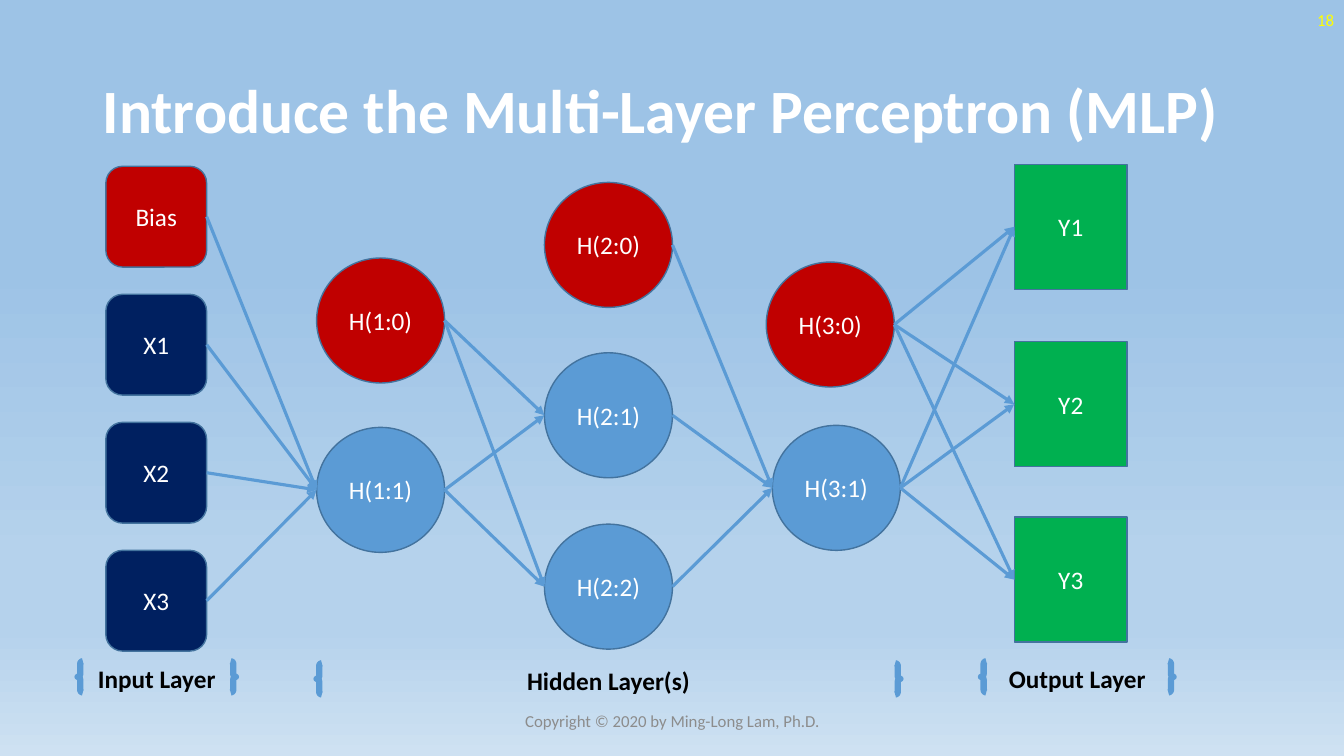
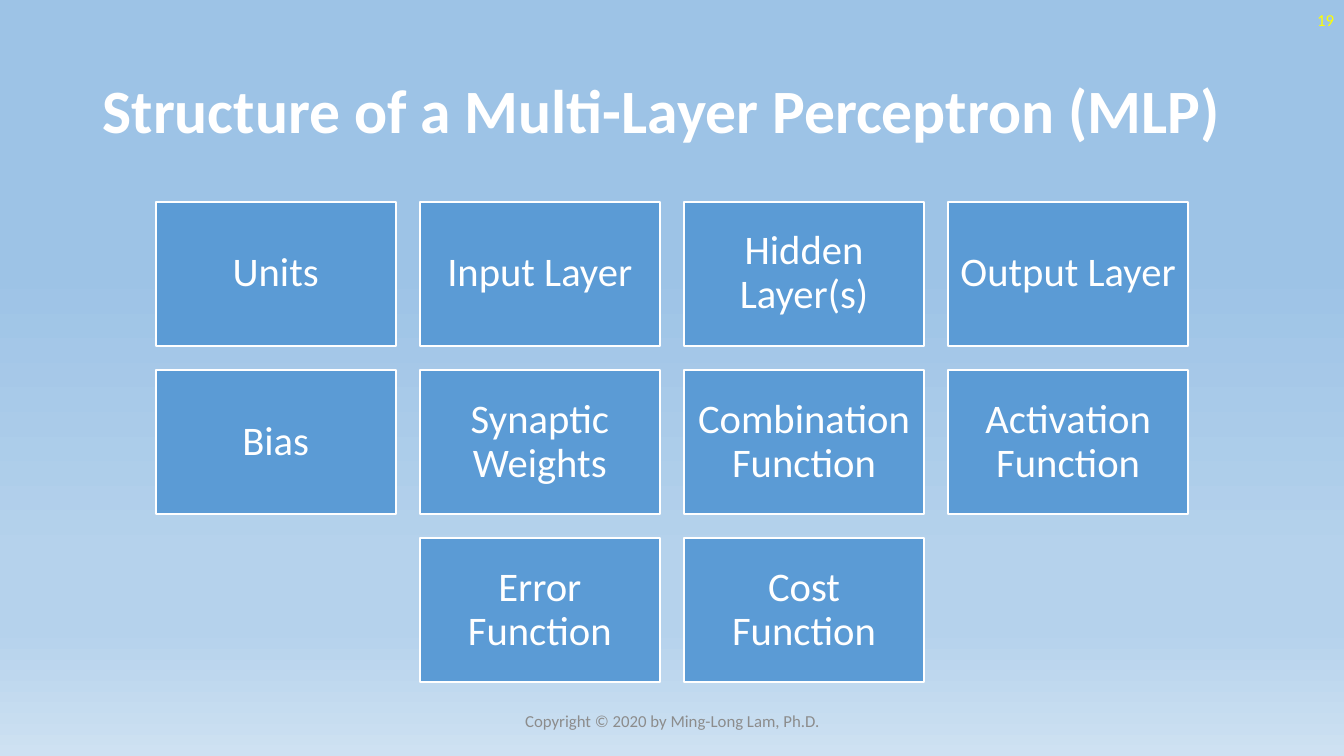
from dataclasses import dataclass

from lxml import etree
from pptx import Presentation
from pptx import util as u
from pptx.dml.color import RGBColor
from pptx.enum import shapes, text
from pptx.oxml.ns import qn
from pptx.shapes.autoshape import Shape
from pptx.slide import Slide, SlideMaster
from pptx.util import Inches


@dataclass(frozen=True)
class Theme:
    font: str = "Calibri"
    white: str = "FFFFFF"
    black: str = "000000"
    blue: str = "5B9BD5"
    outline: str = "43739E"
    navy: str = "002060"
    red: str = "C00000"
    green: str = "00B050"
    number: str = "FFFF00"
    footer: str = "8C8C8C"
    backdrop: tuple = ((35, "9DC3E6"), (74, "B5D2EC"), (83, "B5D2EC"), (100, "CEE1F2"))
    title_size: float = 44
    tile_size: float = 29
    label_size: float = 18
    small_size: float = 12


THEME = Theme()
SLIDE_WIDTH, SLIDE_HEIGHT = 13.33, 7.5
COPYRIGHT = "Copyright © 2020 by Ming-Long Lam, Ph.D."
OVAL, RECT = shapes.MSO_SHAPE.OVAL, shapes.MSO_SHAPE.RECTANGLE
LEFT_SIDE, RIGHT_SIDE = 1, 3
OVAL_SITES = {LEFT_SIDE: 2, RIGHT_SIDE: 6}


@dataclass(frozen=True)
class UnitStyle:
    outline: shapes.MSO_SHAPE
    width: float
    height: float
    fill: str


@dataclass(frozen=True)
class Unit:
    label: str
    left: float
    top: float
    style: UnitStyle


@dataclass(frozen=True)
class LayerSpan:
    label: str
    left: float
    top: float
    width: float


INPUT = UnitStyle(shapes.MSO_SHAPE.ROUNDED_RECTANGLE, 1, 1, THEME.navy)
INPUT_BIAS = UnitStyle(shapes.MSO_SHAPE.ROUNDED_RECTANGLE, 1, 1, THEME.red)
HIDDEN = UnitStyle(OVAL, 1.27, 1.24, THEME.blue)
HIDDEN_BIAS = UnitStyle(OVAL, 1.27, 1.24, THEME.red)
OUTPUT = UnitStyle(RECT, 1.12, 1.24, THEME.green)

UNITS = [
    *(Unit(label, 1.05, 1.65 + 1.27 * row, INPUT if row else INPUT_BIAS)
      for row, label in enumerate(("Bias", "X1", "X2", "X3"))),
    Unit("H(1:0)", 3.14, 2.56, HIDDEN_BIAS),
    Unit("H(1:1)", 3.14, 4.24, HIDDEN),
    Unit("H(2:0)", 5.4, 1.81, HIDDEN_BIAS),
    Unit("H(2:1)", 5.4, 3.5, HIDDEN),
    Unit("H(2:2)", 5.4, 5.2, HIDDEN),
    Unit("H(3:0)", 7.6, 2.6, HIDDEN_BIAS),
    Unit("H(3:1)", 7.66, 4.22, HIDDEN),
    Unit("Y1", 10.06, 1.63, OUTPUT),
    Unit("Y2", 10.06, 3.39, OUTPUT),
    Unit("Y3", 10.06, 5.13, OUTPUT),
]

SYNAPSES = [
    (("Bias", "X1", "X2", "X3"), ("H(1:1)",)),
    (("H(1:0)", "H(1:1)"), ("H(2:1)", "H(2:2)")),
    (("H(2:0)", "H(2:1)", "H(2:2)"), ("H(3:1)",)),
    (("H(3:0)", "H(3:1)"), ("Y1", "Y2", "Y3")),
]

LAYERS = [
    LayerSpan("Input Layer", 0.77, 6.56, 1.57),
    LayerSpan("Hidden Layer(s)", 3.14, 6.58, 5.79),
    LayerSpan("Output Layer", 9.73, 6.56, 1.91),
]

CONCEPT_ROWS = [
    ("Units", "Input Layer", "Hidden Layer(s)", "Output Layer"),
    ("Bias", "Synaptic Weights", "Combination Function", "Activation Function"),
    ("Error Function", "Cost Function"),
]


def write(holder: Shape, words: str, *, size: float, color: str = THEME.white,
          bold: bool = False, align: text.PP_ALIGN = text.PP_ALIGN.CENTER,
          spacing: float = 1.0, inset: float | None = None) -> None:
    frame = holder.text_frame
    frame.word_wrap = True
    frame.vertical_anchor = text.MSO_ANCHOR.MIDDLE
    if inset is not None:
        frame.margin_left = frame.margin_right = Inches(inset)
        frame.margin_top = frame.margin_bottom = Inches(inset)
    paragraph = frame.paragraphs[0]
    paragraph.alignment = align
    paragraph.line_spacing = spacing
    run = paragraph.add_run()
    run.text = words
    run.font.name = THEME.font
    run.font.size = u.Pt(size)
    run.font.bold = bold
    run.font.color.rgb = RGBColor.from_string(color)


def add_text(slide: Slide, words: str, left: float, top: float, width: float,
             height: float, **style) -> None:
    box = slide.shapes.add_textbox(Inches(left), Inches(top), Inches(width), Inches(height))
    write(box, words, **style)


def add_outline(slide: Slide, outline: shapes.MSO_SHAPE, left: float, top: float,
                width: float, height: float, *, fill: str | None, line: str,
                weight: float) -> Shape:
    shape = slide.shapes.add_shape(
        outline, Inches(left), Inches(top), Inches(width), Inches(height))
    shape.shadow.inherit = False
    if fill:
        shape.fill.solid()
        shape.fill.fore_color.rgb = RGBColor.from_string(fill)
    else:
        shape.fill.background()
    shape.line.color.rgb = RGBColor.from_string(line)
    shape.line.width = u.Pt(weight)
    return shape


def add_unit(slide: Slide, unit: Unit) -> Shape:
    style = unit.style
    shape = add_outline(slide, style.outline, unit.left, unit.top, style.width, style.height,
                        fill=style.fill, line=THEME.outline, weight=1)
    write(shape, unit.label, size=THEME.label_size)
    return shape


def add_synapse(slide: Slide, source: Shape, target: Shape) -> None:
    synapse = slide.shapes.add_connector(shapes.MSO_CONNECTOR.STRAIGHT, 0, 0, 0, 0)
    synapse.begin_connect(source, RIGHT_SIDE)
    synapse.end_connect(target, LEFT_SIDE)
    for tag, unit, side in (("a:stCxn", source, RIGHT_SIDE), ("a:endCxn", target, LEFT_SIDE)):
        if unit.auto_shape_type == OVAL:
            synapse.element.find(".//" + qn(tag)).set("idx", str(OVAL_SITES[side]))
    synapse.line.color.rgb = RGBColor.from_string(THEME.blue)
    synapse.line.width = u.Pt(2.25)
    properties = synapse.element.spPr
    etree.SubElement(properties.find(qn("a:ln")), qn("a:tailEnd"), type="triangle")
    etree.SubElement(properties, qn("a:effectLst"))


def paint_backdrop(master: SlideMaster) -> None:
    fill = master.background.fill
    fill.gradient()
    fill.gradient_angle = 270
    stops = master.element.find(".//" + qn("a:gsLst"))
    for stop in list(stops):
        stops.remove(stop)
    for percent, color in THEME.backdrop:
        stop = etree.SubElement(stops, qn("a:gs"), pos=str(percent * 1000))
        etree.SubElement(stop, qn("a:srgbClr"), val=color)


def start_slide(deck: Presentation, title: str, number: int) -> Slide:
    slide = deck.slides.add_slide(deck.slide_layouts[6])
    add_text(slide, title, 0.92, 0.4, 11.5, 1.45, size=THEME.title_size, bold=True,
             align=text.PP_ALIGN.LEFT, spacing=0.9)
    add_text(slide, str(number), 10.33, 0, 3, 0.4, size=THEME.small_size,
             color=THEME.number, align=text.PP_ALIGN.RIGHT)
    add_text(slide, COPYRIGHT, 4.42, 6.95, 4.5, 0.4, size=THEME.small_size,
             color=THEME.footer)
    return slide


def draw_network(slide: Slide) -> None:
    drawn = {unit.label: add_unit(slide, unit) for unit in UNITS}
    for sources, targets in SYNAPSES:
        for source in sources:
            for target in targets:
                add_synapse(slide, drawn[source], drawn[target])
    for layer in LAYERS:
        braces = add_outline(slide, shapes.MSO_SHAPE.DOUBLE_BRACE, layer.left, layer.top,
                             layer.width, 0.31, fill=None, line=THEME.blue, weight=4.5)
        write(braces, layer.label, size=THEME.label_size, color=THEME.black, bold=True)


def draw_concepts(slide: Slide) -> None:
    width, height, gap, top = 2.38, 1.43, 0.24, 2
    for row, concepts in enumerate(CONCEPT_ROWS):
        left = (SLIDE_WIDTH - len(concepts) * (width + gap) + gap) / 2
        for column, concept in enumerate(concepts):
            tile = add_outline(slide, RECT, left + column * (width + gap),
                               top + row * (height + gap), width, height,
                               fill=THEME.blue, line=THEME.white, weight=1.5)
            write(tile, concept, size=THEME.tile_size, spacing=0.9, inset=0.12)


def main() -> None:
    deck = Presentation()
    deck.slide_width, deck.slide_height = Inches(SLIDE_WIDTH), Inches(SLIDE_HEIGHT)
    paint_backdrop(deck.slide_master)
    draw_network(start_slide(deck, "Introduce the Multi-Layer Perceptron (MLP)", 18))
    draw_concepts(start_slide(deck, "Structure of a Multi-Layer Perceptron (MLP)", 19))
    deck.save("out.pptx")


if __name__ == "__main__":
    main()
